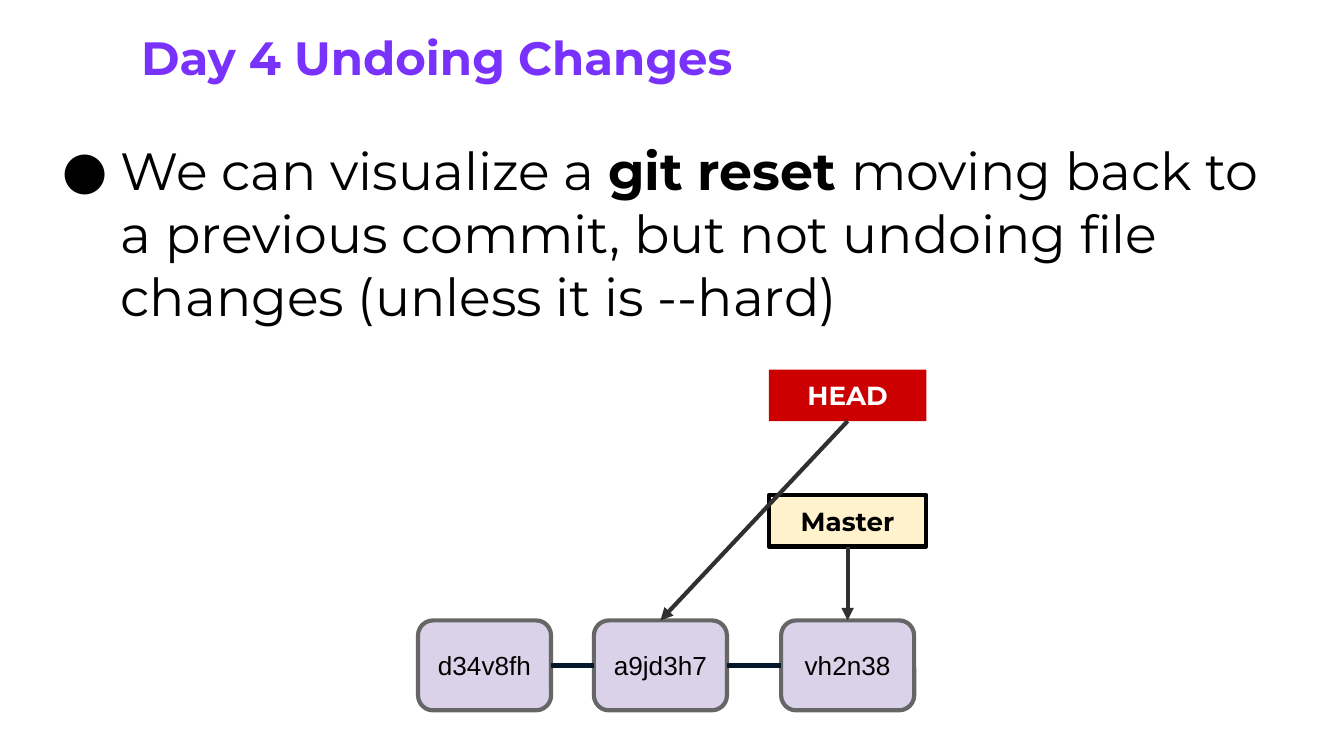
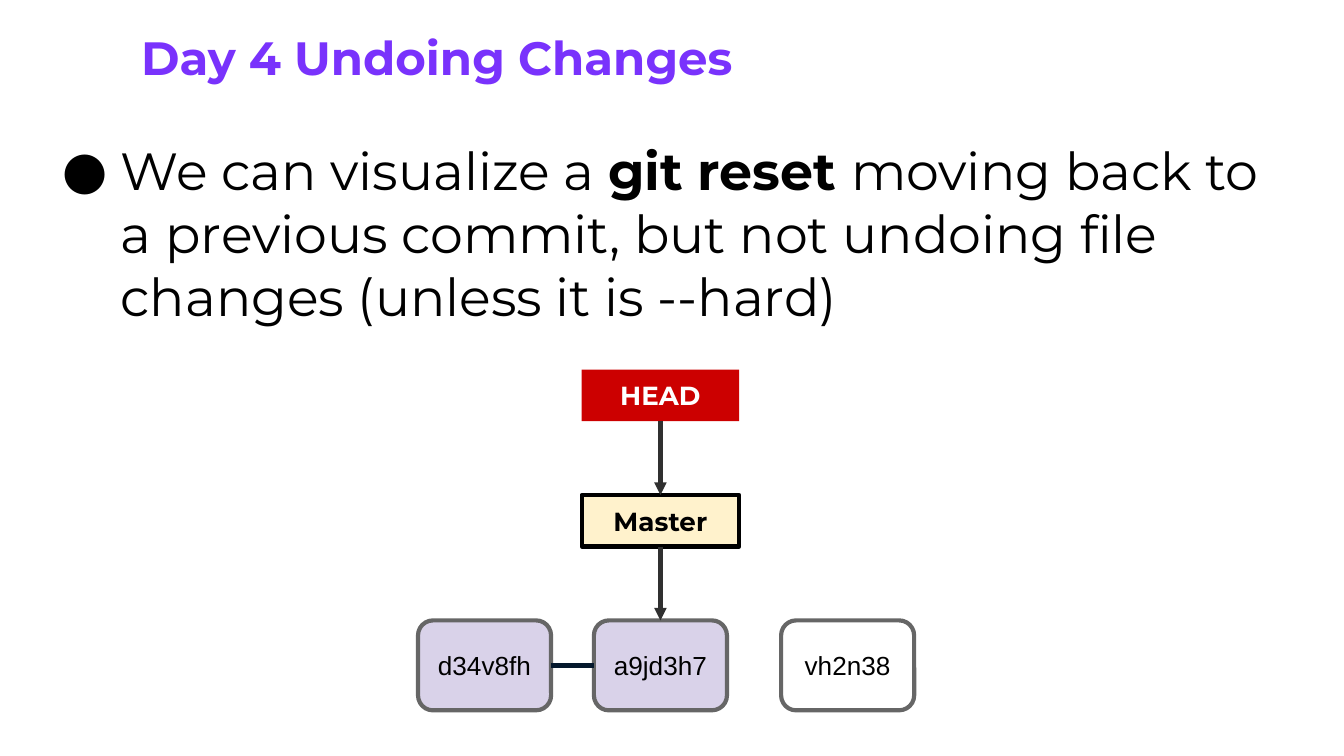
from typing import NamedTuple

from lxml import etree
from pptx import Presentation
from pptx import util as u
from pptx.dml.color import RGBColor
from pptx.enum import shapes, text
from pptx.oxml.ns import qn

Pt = u.Pt
SANS, BRAND = "Arial", "Montserrat"
BLACK, WHITE, PURPLE = "000000", "FFFFFF", "7932FC"
LILAC, CREAM, RED = "D9D2E9", "FFF2CC", "CC0000"
GREY, NAVY, DARK = "666666", "05192D", "303030"
STROKE = 2.25
TOP, LEFT, BOTTOM, RIGHT = range(4)

ROUND = shapes.MSO_SHAPE.ROUNDED_RECTANGLE
RECT = shapes.MSO_SHAPE.RECTANGLE
ELBOW = shapes.MSO_CONNECTOR.ELBOW
LINE = shapes.MSO_CONNECTOR.STRAIGHT


class Run(NamedTuple):
    words: str
    size: float
    font: str = BRAND
    hue: str = BLACK
    bold: bool = False


class Style(NamedTuple):
    form: int
    top: float
    wide: float
    high: float
    edge: str | None
    font: str
    ink: str
    bold: bool


class Box(NamedTuple):
    name: str
    mid: float
    fill: str
    style: Style


class Link(NamedTuple):
    start: str
    end: str


class Scene(NamedTuple):
    boxes: list[Box]
    chain: list[Link]
    arrows: list[Link]


COMMIT = Style(ROUND, 332.4, 71.3, 48.2, GREY, SANS, BLACK, False)
BRANCH = Style(RECT, 265.2, 84.4, 27.6, BLACK, BRAND, BLACK, True)
HEAD = Style(RECT, 198, 84.4, 27.6, None, BRAND, WHITE, True)

FIRST, SECOND, THIRD = "d34v8fh", "a9jd3h7", "vh2n38"
MIDS = {FIRST: 259.6, SECOND: 353.8, THIRD: 454.1}

TITLE = [Run("Day 4 Undoing Changes", 25, hue=PURPLE, bold=True)]
POINT = [
    Run("We can visualize a ", 28),
    Run("git reset ", 28, bold=True),
    Run("moving back to a previous commit, but not undoing file "
        "changes (unless it is --hard)", 28),
]


def scene(master: str, lost: str | None, chain: list[Link],
          arrow: Link) -> Scene:
    boxes = [Box(key, mid, WHITE if key == lost else LILAC, COMMIT)
             for key, mid in MIDS.items()]
    boxes.append(Box("Master", MIDS[master], CREAM, BRANCH))
    boxes.append(Box("HEAD", MIDS[master], RED, HEAD))
    return Scene(boxes, chain, [Link("Master", master), arrow])


SCENES = [
    scene(THIRD, None, [Link(FIRST, SECOND), Link(SECOND, THIRD)],
          Link("HEAD", SECOND)),
    scene(SECOND, THIRD, [Link(FIRST, SECOND)], Link("HEAD", "Master")),
]


def rgb(code: str) -> RGBColor:
    return RGBColor.from_string(code)


def write(para, runs: list[Run]) -> None:
    for item in runs:
        run = para.add_run()
        run.text = item.words
        font = run.font
        font.size, font.name, font.bold = Pt(item.size), item.font, item.bold
        font.color.rgb = rgb(item.hue)


def inset(frame, anchor) -> None:
    frame.word_wrap = True
    frame.auto_size = text.MSO_AUTO_SIZE.NONE
    frame.vertical_anchor = anchor
    frame.margin_left = frame.margin_right = Pt(7.2)
    frame.margin_top = frame.margin_bottom = Pt(7.2)


def place(holder, left: float, top: float, wide: float, high: float,
          runs: list[Run]):
    holder.left, holder.top = Pt(left), Pt(top)
    holder.width, holder.height = Pt(wide), Pt(high)
    inset(holder.text_frame, text.MSO_ANCHOR.TOP)
    para = holder.text_frame.paragraphs[0]
    para.alignment = text.PP_ALIGN.LEFT
    para.space_before = Pt(0)
    write(para, runs)
    return para


def bullet(para, left: float, hang: float) -> None:
    props = para._p.get_or_add_pPr()
    props.set("marL", str(Pt(left)))
    props.set("indent", str(-Pt(hang)))
    tint = etree.SubElement(props, qn("a:buClr"))
    etree.SubElement(tint, qn("a:srgbClr"), val=BLACK)
    etree.SubElement(props, qn("a:buFont"), typeface=BRAND)
    etree.SubElement(props, qn("a:buChar"), char="●")


def draw(slide, box: Box):
    style = box.style
    shape = slide.shapes.add_shape(
        style.form, Pt(box.mid - style.wide / 2), Pt(style.top),
        Pt(style.wide), Pt(style.high))
    shape.shadow.inherit = False
    shape.fill.solid()
    shape.fill.fore_color.rgb = rgb(box.fill)
    if style.edge:
        shape.line.color.rgb = rgb(style.edge)
        shape.line.width = Pt(STROKE)
    else:
        shape.line.fill.background()
    inset(shape.text_frame, text.MSO_ANCHOR.MIDDLE)
    para = shape.text_frame.paragraphs[0]
    para.alignment = text.PP_ALIGN.CENTER
    write(para, [Run(box.name, 14, style.font, style.ink, style.bold)])
    return shape


def join(slide, kind: int, start, out: int, end, into: int, hue: str,
         arrow: bool = False) -> None:
    wire = slide.shapes.add_connector(kind, 0, 0, 0, 0)
    wire.begin_connect(start, out)
    wire.end_connect(end, into)
    wire.line.color.rgb = rgb(hue)
    wire.line.width = Pt(STROKE)
    props = wire.element.spPr
    if arrow:
        etree.SubElement(props.find(qn("a:ln")), qn("a:tailEnd"),
                         type="triangle")
    etree.SubElement(props, qn("a:effectLst"))


def build(deck, view: Scene) -> None:
    slide = deck.slides.add_slide(deck.slide_layouts[1])
    place(slide.shapes.title, 68.4, 8, 526.3, 44.6, TITLE)
    para = place(slide.placeholders[1], 21.6, 67, 666, 116.6, POINT)
    bullet(para, 36, 31.7)
    made = {box.name: draw(slide, box) for box in view.boxes}
    for link in view.chain:
        join(slide, ELBOW, made[link.start], RIGHT, made[link.end], LEFT,
             NAVY)
    for link in view.arrows:
        join(slide, LINE, made[link.start], BOTTOM, made[link.end], TOP,
             DARK, True)


def main() -> None:
    deck = Presentation()
    deck.slide_width, deck.slide_height = Pt(720), Pt(405)
    for view in SCENES:
        build(deck, view)
    deck.save("out.pptx")


if __name__ == "__main__":
    main()
